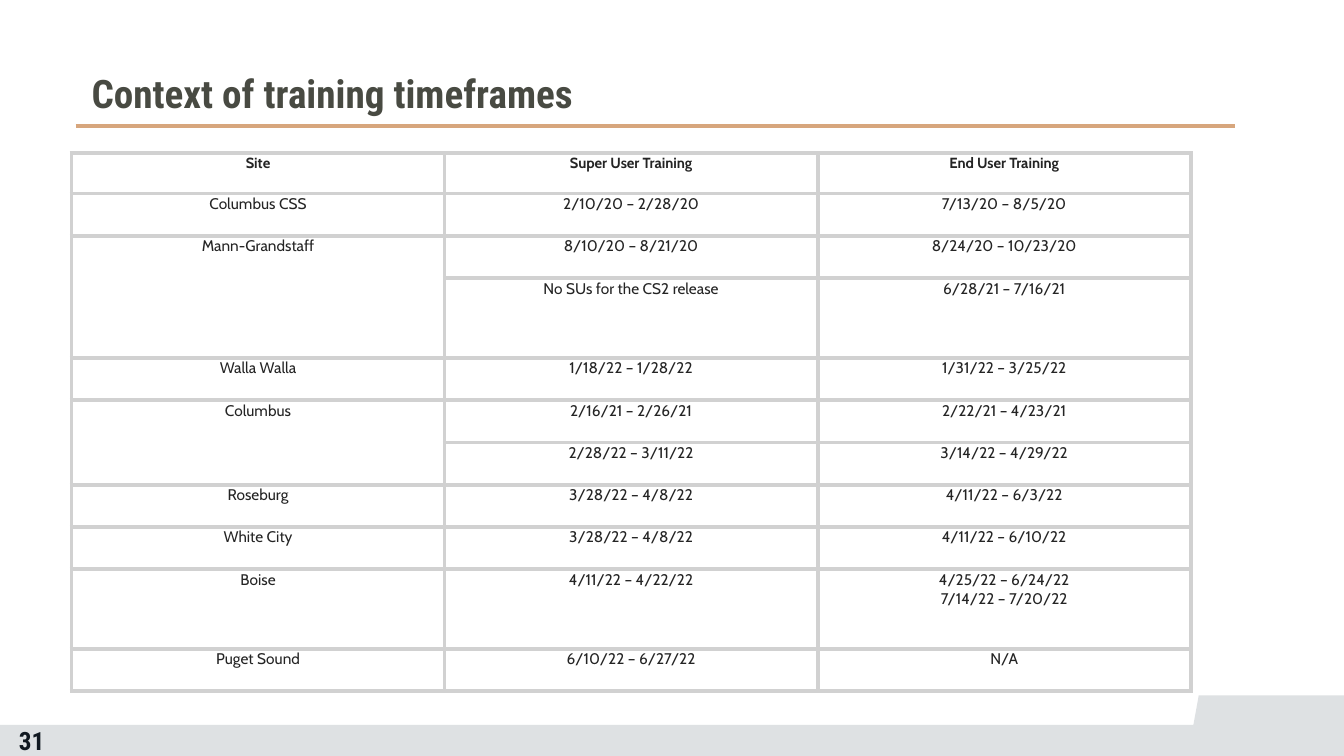
"""Build a slide with a table of training timeframes by site."""
from copy import deepcopy

from lxml import etree
from pptx import Presentation
from pptx.dml.color import RGBColor
from pptx.enum.shapes import MSO_CONNECTOR, MSO_SHAPE
from pptx.enum.text import MSO_ANCHOR, PP_ALIGN
from pptx.oxml.ns import qn
from pptx.util import Inches, Pt

RECTANGLE, TRIANGLE = MSO_SHAPE.RECTANGLE, MSO_SHAPE.RIGHT_TRIANGLE
STRAIGHT = MSO_CONNECTOR.STRAIGHT
MIDDLE = MSO_ANCHOR.MIDDLE
LEFT, CENTER = PP_ALIGN.LEFT, PP_ALIGN.CENTER

COLORS = {
    "footer": "DEE1E3",
    "number": "101820",
    "rule": "D7A67D",
    "title": "484A42",
    "cell text": "242424",
    "cell": "FFFFFF",
    "border": "D1D1D1",
}
HEADING_FONT, TABLE_FONT = "Roboto Condensed", "Cabin"

SCHEDULE = [
    ("Site", "Super User Training", "End User Training"),
    ("Columbus CSS", "2/10/20 – 2/28/20", "7/13/20 – 8/5/20"),
    ("Mann-Grandstaff", "8/10/20 – 8/21/20", "8/24/20 – 10/23/20"),
    (None, "No SUs for the CS2 release", "6/28/21 – 7/16/21"),
    ("Walla Walla", "1/18/22 – 1/28/22", "1/31/22 – 3/25/22"),
    ("Columbus", "2/16/21 – 2/26/21", "2/22/21 – 4/23/21"),
    (None, "2/28/22 – 3/11/22", "3/14/22 – 4/29/22"),
    ("Roseburg", "3/28/22 – 4/8/22", "4/11/22 – 6/3/22"),
    ("White City", "3/28/22 – 4/8/22", "4/11/22 – 6/10/22"),
    ("Boise", "4/11/22 – 4/22/22", "4/25/22 – 6/24/22\n7/14/22 – 7/20/22"),
    ("Puget Sound", "6/10/22 – 6/27/22", "N/A"),
]
ROW_HEIGHT, HEADER_HEIGHT, TALL_HEIGHT = 0.42, 0.4, 0.79
ROW_HEIGHTS = {0: HEADER_HEIGHT, 3: TALL_HEIGHT, 9: TALL_HEIGHT}
COLUMN_WIDTH = 3.7


def rgb(name):
    """Return the named colour."""
    return RGBColor.from_string(COLORS[name])


def write(frame, text, *, size, font, color, bold=False, align=LEFT, spacing=None):
    """Write one formatted paragraph, with line breaks at newlines."""
    paragraph = frame.paragraphs[0]
    paragraph.text = text
    paragraph.alignment = align
    paragraph.line_spacing = spacing
    for run in paragraph.runs:
        run.font.size = Pt(size)
        run.font.name = font
        run.font.bold = bold
        run.font.color.rgb = rgb(color)
    for line_break in paragraph._p.findall(qn("a:br")):
        line_break.append(deepcopy(paragraph.runs[0]._r.get_or_add_rPr()))


def add_heading(slide, text, left, top, width, height, **text_format):
    """Add a vertically centred text box in the heading font."""
    box = slide.shapes.add_textbox(*map(Inches, (left, top, width, height)))
    box.text_frame.word_wrap = True
    box.text_frame.vertical_anchor = MIDDLE
    write(box.text_frame, text, font=HEADING_FONT, bold=True, **text_format)


def add_footer_part(slide, kind, left, top, width, height):
    """Add one plain piece of the footer band."""
    part = slide.shapes.add_shape(kind, *map(Inches, (left, top, width, height)))
    part.shadow.inherit = False
    part.fill.solid()
    part.fill.fore_color.rgb = rgb("footer")
    part.line.fill.background()
    return part


def add_rule(slide, left, right, top):
    """Add the horizontal rule under the title."""
    rule = slide.shapes.add_connector(
        STRAIGHT, Inches(left), Inches(top), Inches(right), Inches(top))
    rule.line.color.rgb = rgb("rule")
    rule.line.width = Pt(3)
    etree.SubElement(rule._element.spPr, qn("a:effectLst"))


def style_cell(cell):
    """Give a cell its borders, fill and narrow margins."""
    properties = cell._tc.get_or_add_tcPr()
    for side in ("L", "R", "T", "B"):
        border = etree.SubElement(properties, qn(f"a:ln{side}"), w=str(Pt(3)))
        fill = etree.SubElement(border, qn("a:solidFill"))
        etree.SubElement(fill, qn("a:srgbClr"), val=COLORS["border"])
    cell.fill.solid()
    cell.fill.fore_color.rgb = rgb("cell")
    cell.margin_left = cell.margin_right = Inches(0.01)
    cell.margin_top = cell.margin_bottom = Inches(0.01)


def add_schedule(slide, left, top):
    """Add the table, joining each site with the unnamed row below it."""
    heights = [ROW_HEIGHTS.get(i, ROW_HEIGHT) for i in range(len(SCHEDULE))]
    columns = len(SCHEDULE[0])
    table = slide.shapes.add_table(
        len(SCHEDULE), columns, Inches(left), Inches(top),
        Inches(COLUMN_WIDTH * columns), Inches(sum(heights))).table
    for column in table.columns:
        column.width = Inches(COLUMN_WIDTH)
    for i, entries in enumerate(SCHEDULE):
        table.rows[i].height = Inches(heights[i])
        for j, entry in enumerate(entries):
            cell = table.cell(i, j)
            style_cell(cell)
            if entry is None:
                table.cell(i - 1, j).merge(cell)
            else:
                write(cell.text_frame, entry, size=11 if i else 10.5, font=TABLE_FONT,
                      color="cell text", bold=i == 0, align=CENTER)


def main():
    """Build and save the slide."""
    deck = Presentation()
    deck.slide_width, deck.slide_height = Inches(13.33), Inches(7.5)
    slide = deck.slides.add_slide(deck.slide_layouts[6])
    slant = add_footer_part(slide, TRIANGLE, 11.78, 6.9, 0.11, 0.6)
    slant._element.spPr.xfrm.set("flipH", "1")
    add_footer_part(slide, RECTANGLE, 11.89, 6.9, 1.44, 0.6)
    add_footer_part(slide, RECTANGLE, 0, 7.19, 13.33, 0.31)
    add_heading(slide, "31", 0.09, 7.19, 0.66, 0.32, size=18, color="number")
    add_rule(slide, 0.75, 12.25, 1.25)
    add_heading(slide, "Context of training timeframes", 0.81, 0.66, 11.6, 0.59,
                size=28, color="title", spacing=0.9)
    add_schedule(slide, 0.71, 1.52)
    deck.save("out.pptx")


if __name__ == "__main__":
    main()
